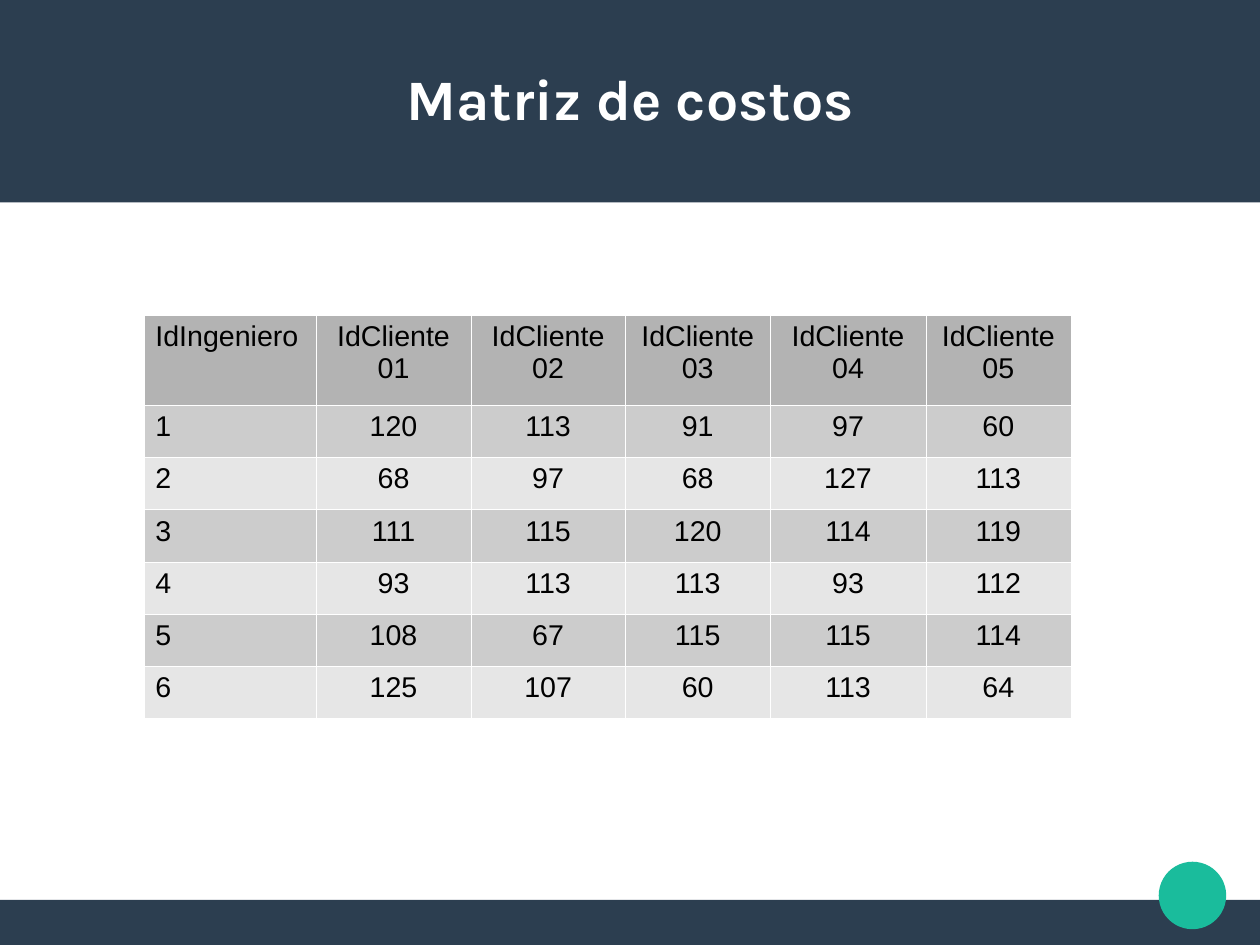
from dataclasses import dataclass

from lxml import etree
from pptx import Presentation
from pptx import util as u
from pptx.dml.color import RGBColor
from pptx.enum import shapes, text
from pptx.oxml.ns import qn


@dataclass(frozen=True)
class Theme:
    navy: str = "2C3E50"
    teal: str = "1ABC9C"
    white: str = "FFFFFF"
    black: str = "000000"
    header: str = "B3B3B3"
    bands: tuple = ("CCCCCC", "E6E6E6")
    title_font: str = "Karla"
    body_font: str = "Arial"
    title_size: int = 36
    body_size: int = 18
    border: float = 0.06


THEME = Theme()
COLS, ROWS = 28, 21  # page grid of one-centimetre squares
WIDTH, HEIGHT = u.Cm(COLS), u.Cm(ROWS)

COL_WIDTHS = (3.82, 3.45, 3.42, 3.23, 3.45, 3.23)
HEADER_HEIGHT, ROW_HEIGHT = 2, 1.16
HEADERS = ["IdIngeniero"] + [f"IdCliente {n:02}" for n in range(1, 6)]
COSTS = (
    (120, 113, 91, 97, 60),
    (68, 97, 68, 127, 113),
    (111, 115, 120, 114, 119),
    (93, 113, 113, 93, 112),
    (108, 67, 115, 115, 114),
    (125, 107, 60, 113, 64),
)


def box(*cells):
    return [u.Cm(cell) for cell in cells]


def set_all(target, values):
    for name, value in values.items():
        setattr(target, name, value)


def paint(target, color):
    target.fill.solid()
    target.fill.fore_color.rgb = RGBColor.from_string(color)


def write(p, words, align, color, **font):
    p.alignment = align
    r = p.add_run()
    r.text = words
    set_all(r.font, font)
    r.font.color.rgb = RGBColor.from_string(color)


def add_block(s, kind, color, *place):
    sp = s.shapes.add_shape(kind, *box(*place))
    paint(sp, color)
    sp.line.fill.background()
    sp.shadow.inherit = False


def add_title(s, words, *place):
    tf = s.shapes.add_textbox(*box(*place)).text_frame
    set_all(tf, dict(word_wrap=True, vertical_anchor=text.MSO_ANCHOR.MIDDLE,
                     margin_left=0, margin_top=0, margin_right=0, margin_bottom=0))
    write(tf.paragraphs[0], words, text.PP_ALIGN.CENTER, THEME.white,
          name=THEME.title_font, size=u.Pt(THEME.title_size), bold=True)


def add_borders(cell):
    props = cell._tc.get_or_add_tcPr()
    for i, side in enumerate(("lnL", "lnR", "lnT", "lnB")):
        ln = etree.Element(qn(f"a:{side}"), w=str(u.Pt(THEME.border)))
        fill = etree.SubElement(ln, qn("a:solidFill"))
        etree.SubElement(fill, qn("a:srgbClr"), val=THEME.white)
        props.insert(i, ln)  # borders come before the fill


def add_cost_table(s, left, top):
    data = [HEADERS] + [(i, *costs) for i, costs in enumerate(COSTS, 1)]
    heights = [HEADER_HEIGHT] + [ROW_HEIGHT] * len(COSTS)
    place = box(left, top, sum(COL_WIDTHS), sum(heights))
    table = s.shapes.add_table(len(data), len(HEADERS), *place).table
    set_all(table, dict(first_row=False, horz_banding=False))
    for column, width in zip(table.columns, COL_WIDTHS):
        column.width = u.Cm(width)
    for i, (row, height, values) in enumerate(zip(table.rows, heights, data)):
        row.height = u.Cm(height)
        color = THEME.bands[(i - 1) % 2] if i else THEME.header
        for j, (cell, value) in enumerate(zip(row.cells, values)):
            align = text.PP_ALIGN.CENTER if j else text.PP_ALIGN.LEFT
            write(cell.text_frame.paragraphs[0], str(value), align, THEME.black,
                  name=THEME.body_font, size=u.Pt(THEME.body_size), bold=False)
            paint(cell, color)
            add_borders(cell)


def main():
    prs = Presentation()
    set_all(prs, dict(slide_width=WIDTH, slide_height=HEIGHT))
    s = prs.slides.add_slide(prs.slide_layouts[6])
    paint(s.background, THEME.white)

    # Footer bar, title band and page dot
    bar, dot = shapes.MSO_SHAPE.RECTANGLE, shapes.MSO_SHAPE.OVAL
    add_block(s, bar, THEME.navy, 0, ROWS - 1, COLS, 1)
    add_block(s, bar, THEME.navy, 0, 0, COLS, 4.5)
    add_block(s, dot, THEME.teal, 25.75, 19.15, 1.5, 1.5)

    # Title and cost matrix
    add_title(s, "Matriz de costos", 1, 0.84, COLS - 2, 2.67)
    add_cost_table(s, 3.2, 7)

    prs.save("out.pptx")


main()
